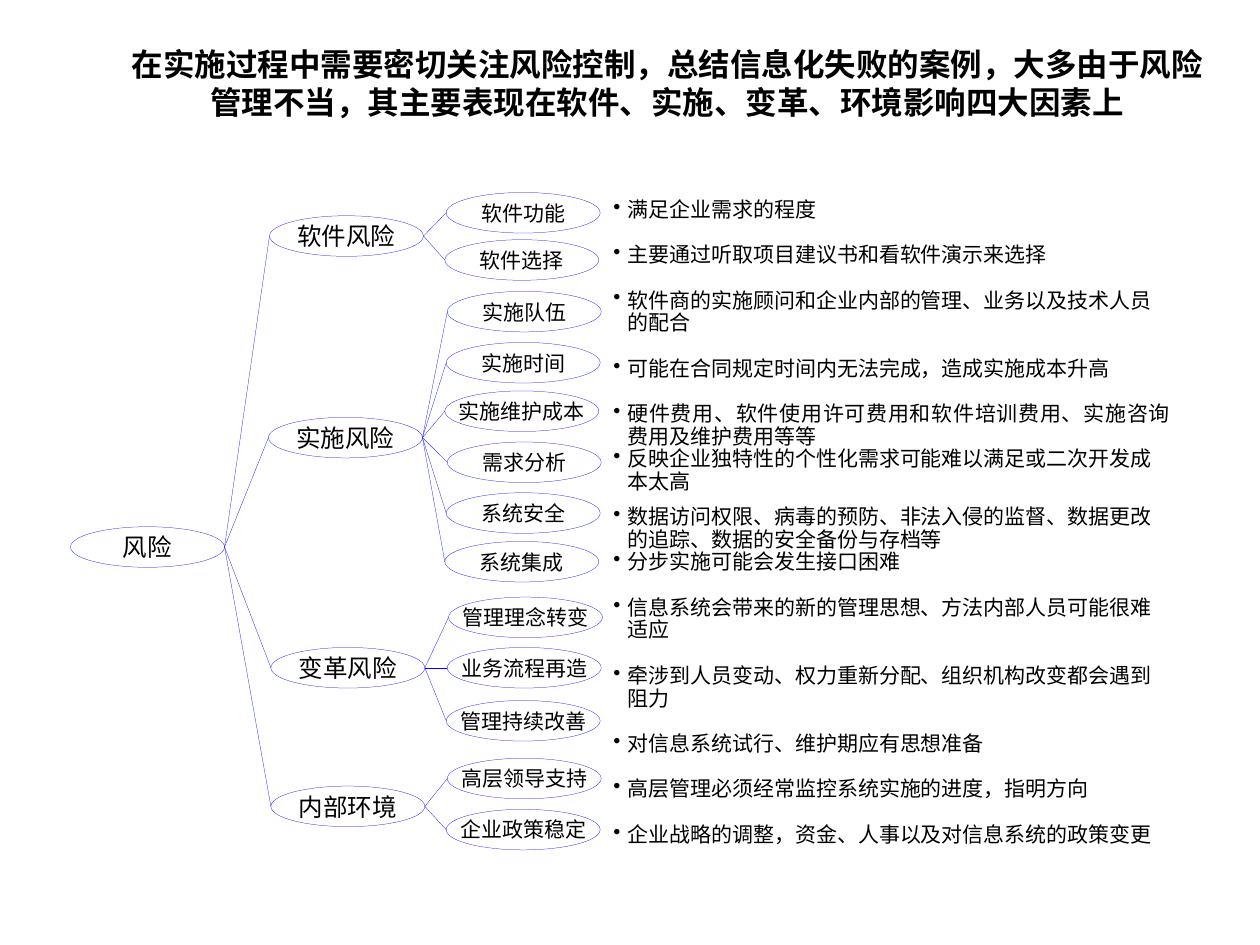
import pptx
import pptx.util
import pptx.dml.color
import pptx.enum.shapes
import pptx.enum.text
import pptx.oxml
import pptx.oxml.ns

Pt = pptx.util.Pt
qn = pptx.oxml.ns.qn
BLACK = pptx.dml.color.RGBColor(0x00, 0x00, 0x00)
BLUE = pptx.dml.color.RGBColor(0x00, 0x00, 0xFF)
CENTER = pptx.enum.text.PP_ALIGN.CENTER
MIDDLE = pptx.enum.text.MSO_ANCHOR.MIDDLE
NODE_W, NODE_H = 88, 23.2
LINE_W = 0.13

TITLE = "在实施过程中需要密切关注风险控制，总结信息化失败的案例，大多由于风险管理不当，其主要表现在软件、实施、变革、环境影响四大因素上"
ROOT = ("风险", 40.3, 301)
BRANCHES = [
    ("软件风险", 154, 123.3, [("软件功能", 255, 110), ("软件选择", 254.2, 137)]),
    ("实施风险", 153.4, 238.5, [
        ("实施队伍", 255.6, 166.5), ("实施时间", 255, 195.7), ("实施维护成本", 254.2, 223.4),
        ("需求分析", 255.6, 252.6), ("系统安全", 255, 281.6), ("系统集成", 254.2, 309.4)]),
    ("变革风险", 154.8, 370, [
        ("管理理念转变", 256.3, 341.2), ("业务流程再造", 255.6, 370), ("管理持续改善", 255, 400.3)]),
    ("内部环境", 154.8, 449.2, [("高层领导支持", 255.6, 433.3), ("企业政策稳定", 255, 462.5)]),
]
GAP = 13
NOTES = [
    ("满足企业需求的程度", 0),
    ("主要通过听取项目建议书和看软件演示来选择", GAP),
    ("软件商的实施顾问和企业内部的管理、业务以及技术人员的配合", GAP),
    ("可能在合同规定时间内无法完成，造成实施成本升高", GAP),
    ("硬件费用、软件使用许可费用和软件培训费用、实施咨询费用及维护费用等等", GAP),
    ("反映企业独特性的个性化需求可能难以满足或二次开发成本太高", 0),
    ("数据访问权限、病毒的预防、非法入侵的监督、数据更改的追踪、数据的安全备份与存档等", 7),
    ("分步实施可能会发生接口困难", 0),
    ("信息系统会带来的新的管理思想、方法内部人员可能很难适应", GAP),
    ("牵涉到人员变动、权力重新分配、组织机构改变都会遇到阻力", GAP),
    ("对信息系统试行、维护期应有思想准备", GAP),
    ("高层管理必须经常监控系统实施的进度，指明方向", GAP),
    ("企业战略的调整，资金、人事以及对信息系统的政策变更", GAP),
]


def write(paragraph, text, size, latin, east_asian, indent=0, bold=False):
    run = paragraph.add_run()
    run.text = text
    for key, value in {"size": Pt(size), "name": latin, "bold": bold}.items():
        setattr(run.font, key, value)
    run.font.color.rgb = BLACK
    run.font._element.find(qn("a:latin")).addnext(
        pptx.oxml.parse_xml(f'<a:ea {pptx.oxml.ns.nsdecls("a")} typeface="{east_asian}"/>'))
    if indent:
        properties = paragraph._p.get_or_add_pPr()
        properties.set("marL", str(Pt(indent)))
        properties.set("indent", str(-Pt(indent)))


def add_node(label, left, top, size, wrap, parent=None):
    node = slide.shapes.add_shape(
        pptx.enum.shapes.MSO_SHAPE.OVAL, Pt(left), Pt(top), Pt(NODE_W), Pt(NODE_H))
    node.shadow.inherit = False
    node.fill.background()
    node.line.color.rgb = BLUE
    node.line.width = Pt(LINE_W)
    frame_format = {"margin_left": 0, "margin_right": 0, "margin_top": 0, "margin_bottom": 0,
                    "vertical_anchor": MIDDLE, "word_wrap": wrap}
    for key, value in frame_format.items():
        setattr(node.text_frame, key, value)
    paragraph = node.text_frame.paragraphs[0]
    paragraph.alignment = CENTER
    write(paragraph, label, size, "Noto Sans CJK SC", "Noto Sans CJK SC", 15)
    if parent:
        link = slide.shapes.add_connector(
            pptx.enum.shapes.MSO_CONNECTOR.STRAIGHT,
            Pt(parent[1] + NODE_W), Pt(parent[2] + NODE_H / 2), Pt(left), Pt(top + NODE_H / 2))
        link.line.color.rgb = BLUE
        link.line.width = Pt(LINE_W)
        link._element.spPr.append(
            pptx.oxml.parse_xml(f'<a:effectLst {pptx.oxml.ns.nsdecls("a")}/>'))


deck = pptx.Presentation()
deck.slide_width = Pt(720)
deck.slide_height = Pt(540)
slide = deck.slides.add_slide(deck.slide_layouts[5])

headline = slide.shapes.title
headline_box = {"left": Pt(66.2), "top": Pt(21.6), "width": Pt(630), "height": Pt(52)}
for key, value in headline_box.items():
    setattr(headline, key, value)
headline_format = {"vertical_anchor": MIDDLE, "word_wrap": True,
                   "auto_size": pptx.enum.text.MSO_AUTO_SIZE.NONE}
for key, value in headline_format.items():
    setattr(headline.text_frame, key, value)
headline.text_frame.paragraphs[0].alignment = CENTER
write(headline.text_frame.paragraphs[0], TITLE, 18, "Calibri", "Calibri", bold=True)

add_node(*ROOT, 14, True)
for branch in BRANCHES:
    add_node(*branch[:3], 14, True, ROOT)
    for leaf in branch[3]:
        add_node(*leaf, 12, False, branch)

notes = slide.shapes.add_textbox(Pt(343.4), Pt(110.2), Pt(332.6), Pt(371.5)).text_frame
notes.word_wrap = True
for index, (note, gap) in enumerate(NOTES):
    paragraph = notes.add_paragraph() if index else notes.paragraphs[0]
    for key, value in {"line_spacing": 0.9, "space_before": Pt(gap)}.items():
        setattr(paragraph, key, value)
    write(paragraph, note, 12, "Times New Roman", "Calibri", 8)
    paragraph._p.pPr.append(
        pptx.oxml.parse_xml(f'<a:buChar {pptx.oxml.ns.nsdecls("a")} char="•"/>'))
    if note.startswith("硬件费用"):
        paragraph.alignment = pptx.enum.text.PP_ALIGN.JUSTIFY

deck.save("out.pptx")
